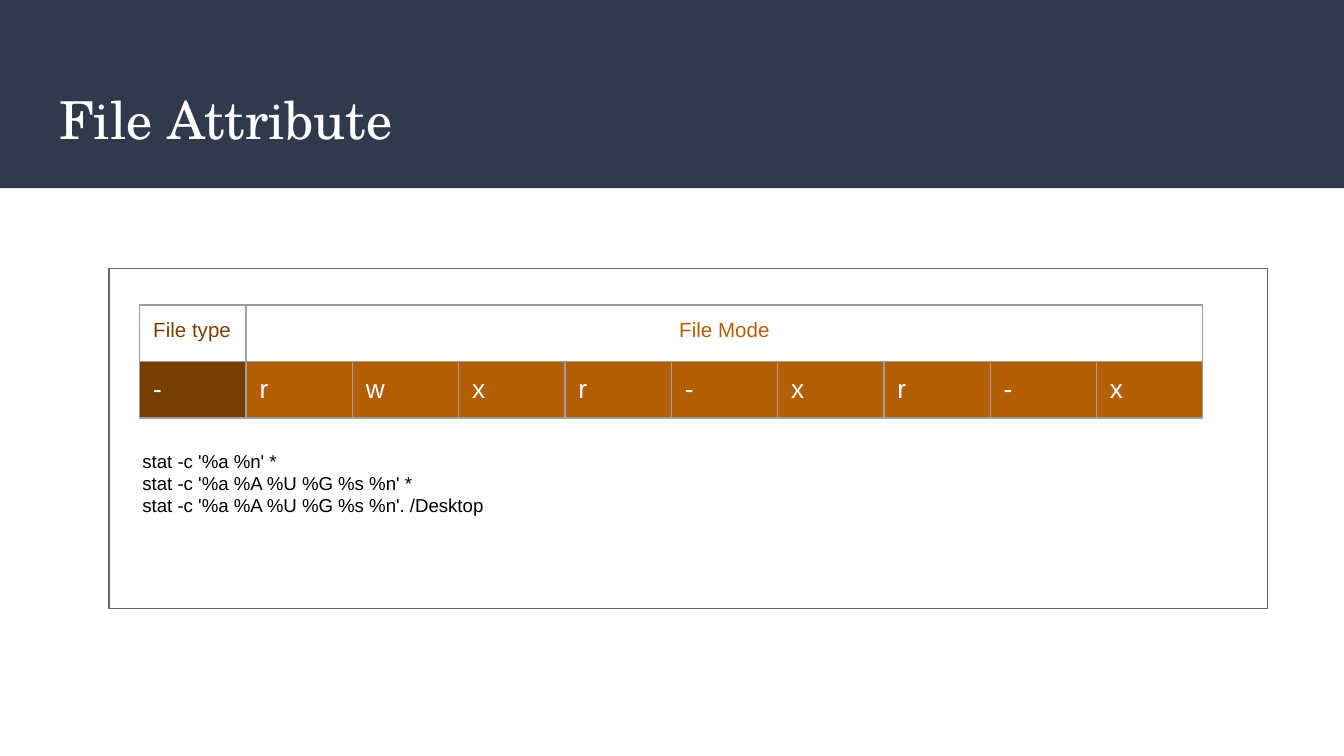
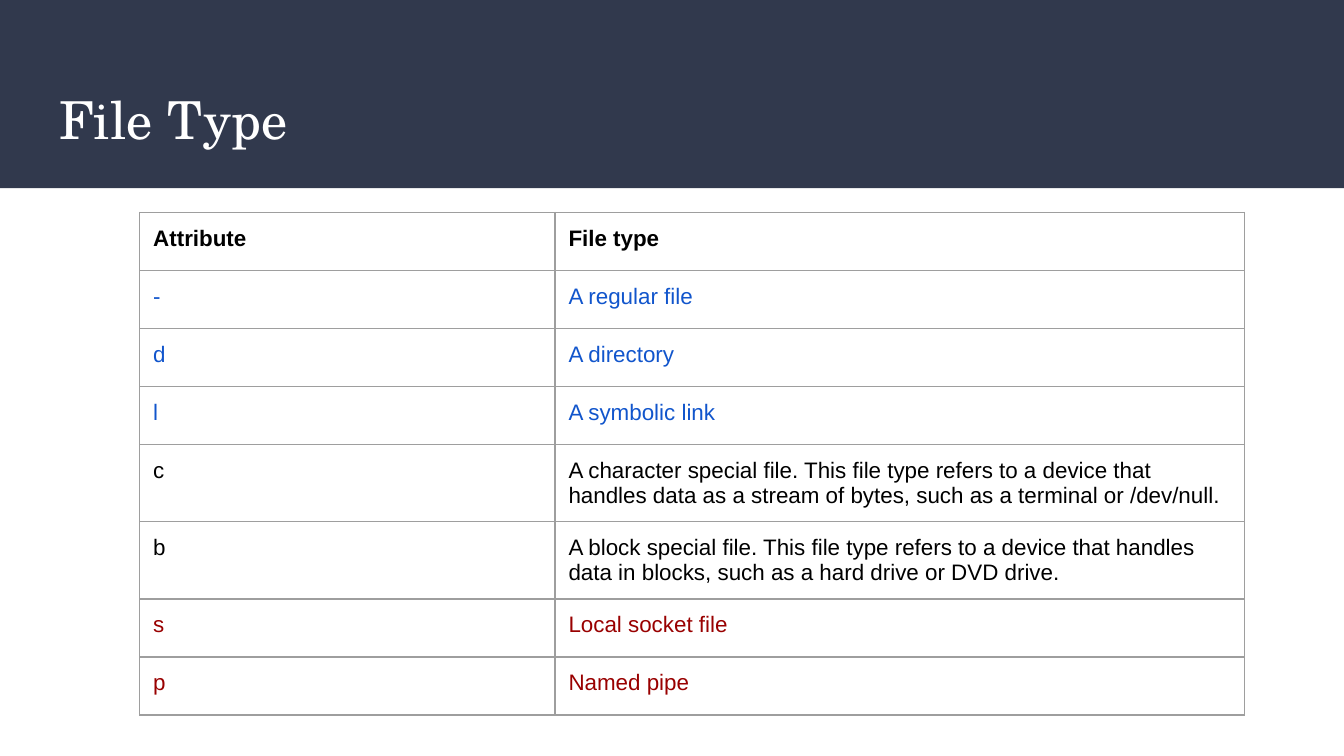
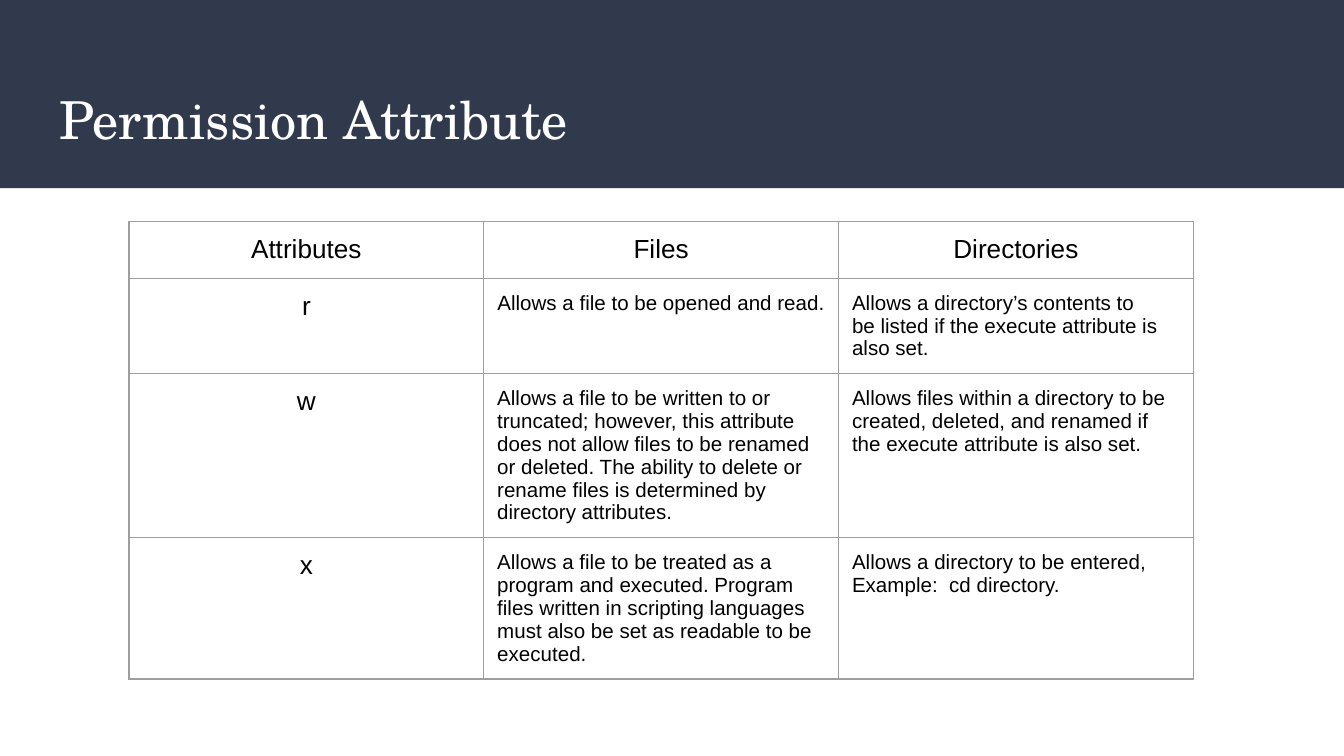
"""Build three slides on file attributes, file types and permissions."""
from typing import NamedTuple

from lxml.etree import SubElement as Sub
from pptx import Presentation
from pptx.dml.color import RGBColor as Rgb
from pptx.enum.shapes import MSO_SHAPE as Shape
from pptx.enum.text import MSO_ANCHOR as Anchor, MSO_AUTO_SIZE as Fit, PP_ALIGN as Align
from pptx.oxml.ns import qn
from pptx.util import Inches, Pt


class Theme(NamedTuple):
    navy: str = "31394D"
    white: str = "FFFFFF"
    black: str = "000000"
    gray: str = "666666"
    rule: str = "9E9E9E"
    brown: str = "783F04"
    rust: str = "B45F06"
    blue: str = "1155CC"
    red: str = "990000"
    serif: str = "TeX Gyre Schola"
    sans: str = "Arial"
    title: int = 28
    head: int = 14
    body: int = 12
    note: int = 11
    code: int = 10
    line: float = 0.75


T = Theme()


class Cell(NamedTuple):
    text: str
    size: int = T.note
    color: str = T.black
    bold: bool = False
    align: Align = Align.LEFT
    fill: str = ""
    span: int = 1


class Grid(NamedTuple):
    left: float
    top: float
    cols: list[float]
    row: float
    rows: list[list[Cell]]


def pad(frame, gap: float = 0.1) -> None:
    """Give a text frame or cell equal margins."""
    for side in ("left", "top", "right", "bottom"):
        setattr(frame, f"margin_{side}", Inches(gap))


def write(frame, cell: Cell, face: str = T.sans) -> None:
    """Write each line of a cell as a paragraph of one run."""
    for num, line in enumerate(cell.text.split("\n")):
        para = frame.add_paragraph() if num else frame.paragraphs[0]
        para.alignment = cell.align
        run = para.add_run()
        run.text = line
        font = run.font
        font.name, font.size, font.bold = face, Pt(cell.size), cell.bold
        font.color.rgb = Rgb.from_string(cell.color)


def edge(cell) -> None:
    """Draw thin rules on all four sides of a table cell."""
    props = cell._tc.get_or_add_tcPr()
    for side in "LRTB":
        line = Sub(props, qn(f"a:ln{side}"), w=str(Pt(T.line)))
        fill = Sub(line, qn("a:solidFill"))
        Sub(fill, qn("a:srgbClr"), val=T.rule)


def paint(fill, color: str) -> None:
    """Fill with a solid colour, or with none."""
    if color:
        fill.solid()
        fill.fore_color.rgb = Rgb.from_string(color)
    else:
        fill.background()


def add_box(slide, left: float, top: float, wide: float, high: float, color: str):
    """Add a plain rectangle without line or shadow."""
    box = slide.shapes.add_shape(
        Shape.RECTANGLE, Inches(left), Inches(top), Inches(wide), Inches(high))
    box.shadow.inherit = False
    paint(box.fill, color)
    box.line.fill.background()
    return box


def add_grid(slide, grid: Grid) -> None:
    """Add a ruled table."""
    count = len(grid.rows)
    table = slide.shapes.add_table(
        count, len(grid.cols), Inches(grid.left), Inches(grid.top),
        Inches(sum(grid.cols)), Inches(grid.row * count)).table
    table.first_row = table.horz_banding = False
    for col, wide in zip(table.columns, grid.cols):
        col.width = Inches(wide)
    for y, row in enumerate(grid.rows):
        table.rows[y].height = Inches(grid.row)
        for x, item in enumerate(row):
            cell = table.cell(y, x)
            pad(cell)
            edge(cell)
            paint(cell.fill, item.fill)
            write(cell.text_frame, item)
            if item.span > 1:
                cell.merge(table.cell(y, x + item.span - 1))


def add_slide(deck, text: str):
    """Add a slide with its title set on the band."""
    slide = deck.slides.add_slide(deck.slide_layouts[5])
    title = slide.shapes.title
    title.left, title.top = Inches(0.34), Inches(0.55)
    title.width, title.height = Inches(9.32), Inches(0.68)
    frame = title.text_frame
    frame.auto_size, frame.vertical_anchor = Fit.NONE, Anchor.TOP
    pad(frame)
    write(frame, Cell(text, T.title, T.white), T.serif)
    return slide


def add_band(slide) -> None:
    """Place the title band behind everything on the shared layout."""
    band = add_box(slide, 0, 0, 10, 1.4, T.navy)
    band.element.nvSpPr.cNvPr.set("id", "99")
    slide.slide_layout.shapes.element.insert(2, band.element)


def add_mode(deck) -> None:
    """Add the slide on the ten mode characters."""
    slide = add_slide(deck, "File Attribute")
    add_band(slide)
    box = add_box(slide, 0.81, 2, 8.62, 2.53, T.white)
    box.line.color.rgb = Rgb.from_string(T.gray)
    box.line.width = Pt(T.line)
    frame = box.text_frame
    frame.word_wrap, frame.vertical_anchor = True, Anchor.MIDDLE
    pad(frame)
    frame.margin_left, frame.margin_top = Inches(0.25), Inches(0.76)
    write(frame, Cell(
        "stat -c '%a %n' *\n"
        "stat -c '%a %A %U %G %s %n' *\n"
        "stat -c '%a %A %U %G %s %n'. /Desktop", T.code))
    mode = "rwxr-xr-x"
    size = len(mode)
    head = [Cell("File type", color=T.brown),
            Cell("File Mode", color=T.rust, align=Align.CENTER, span=size)]
    head += [Cell("")] * (size - 1)
    bits = [Cell("-", T.head, T.white, fill=T.brown)]
    bits += [Cell(bit, T.head, T.white, fill=T.rust) for bit in mode]
    add_grid(slide, Grid(1.04, 2.27, [7.91 / 10] * 10, 0.42, [head, bits]))


def add_types(deck) -> None:
    """Add the slide that lists the file types."""
    slide = add_slide(deck, "File Type")
    kinds = [
        ("-", "A regular file", T.blue),
        ("d", "A directory", T.blue),
        ("l", "A symbolic link", T.blue),
        ("c", "A character special file. This file type refers to a device that "
              "handles data as a stream of bytes, such as a terminal or /dev/null.",
         T.black),
        ("b", "A block special file. This file type refers to a device that handles "
              "data in blocks, such as a hard drive or DVD drive.", T.black),
        ("s", "Local socket file", T.red),
        ("p", "Named pipe", T.red),
    ]
    rows = [[Cell(text, T.body, bold=True) for text in ("Attribute", "File type")]]
    rows += [[Cell(text, T.body, color) for text in (key, note)]
             for key, note, color in kinds]
    add_grid(slide, Grid(1.04, 1.58, [3.09, 5.13], 3.46 / len(rows), rows))


def add_rights(deck) -> None:
    """Add the slide on what each permission allows."""
    slide = add_slide(deck, "Permission Attribute")
    mid = Align.CENTER
    rights = [
        ("r", Cell("Allows a file to be opened and read.", align=mid),
         Cell("Allows a directory’s contents to\n"
              "be listed if the execute attribute is\nalso set.")),
        ("w", Cell("Allows a file to be written to or\n"
                   "truncated; however, this attribute\n"
                   "does not allow files to be renamed\n"
                   "or deleted. The ability to delete or\n"
                   "rename files is determined by directory attributes."),
         Cell("Allows files within a directory to be\n"
              "created, deleted, and renamed if\n"
              "the execute attribute is also set.")),
        ("x", Cell("Allows a file to be treated as a\n"
                   "program and executed. Program\n"
                   "files written in scripting languages\n"
                   "must also be set as readable to be\nexecuted."),
         Cell("Allows a directory to be entered,\nExample:  cd directory.")),
    ]
    rows = [[Cell(text, T.head, align=mid)
             for text in ("Attributes", "Files", "Directories")]]
    rows += [[Cell(key, T.head, align=mid), file, folder]
             for key, file, folder in rights]
    add_grid(slide, Grid(0.96, 1.65, [2.64] * 3, 0.42, rows))


def main() -> None:
    """Build and save the deck."""
    deck = Presentation()
    deck.slide_width = Inches(10)
    deck.slide_height = deck.slide_width * 9 // 16
    add_mode(deck)
    add_types(deck)
    add_rights(deck)
    deck.save("out.pptx")


if __name__ == "__main__":
    main()
